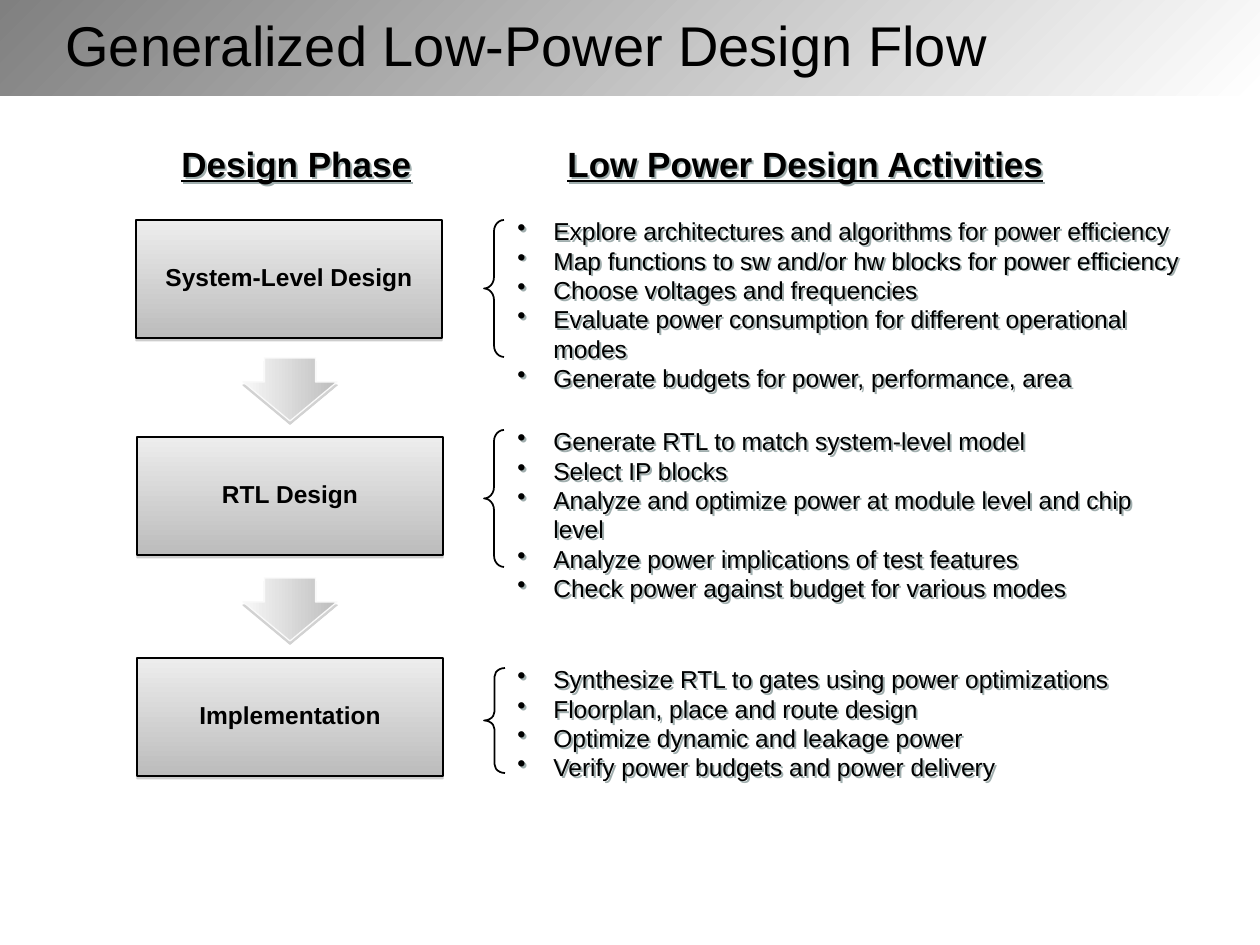
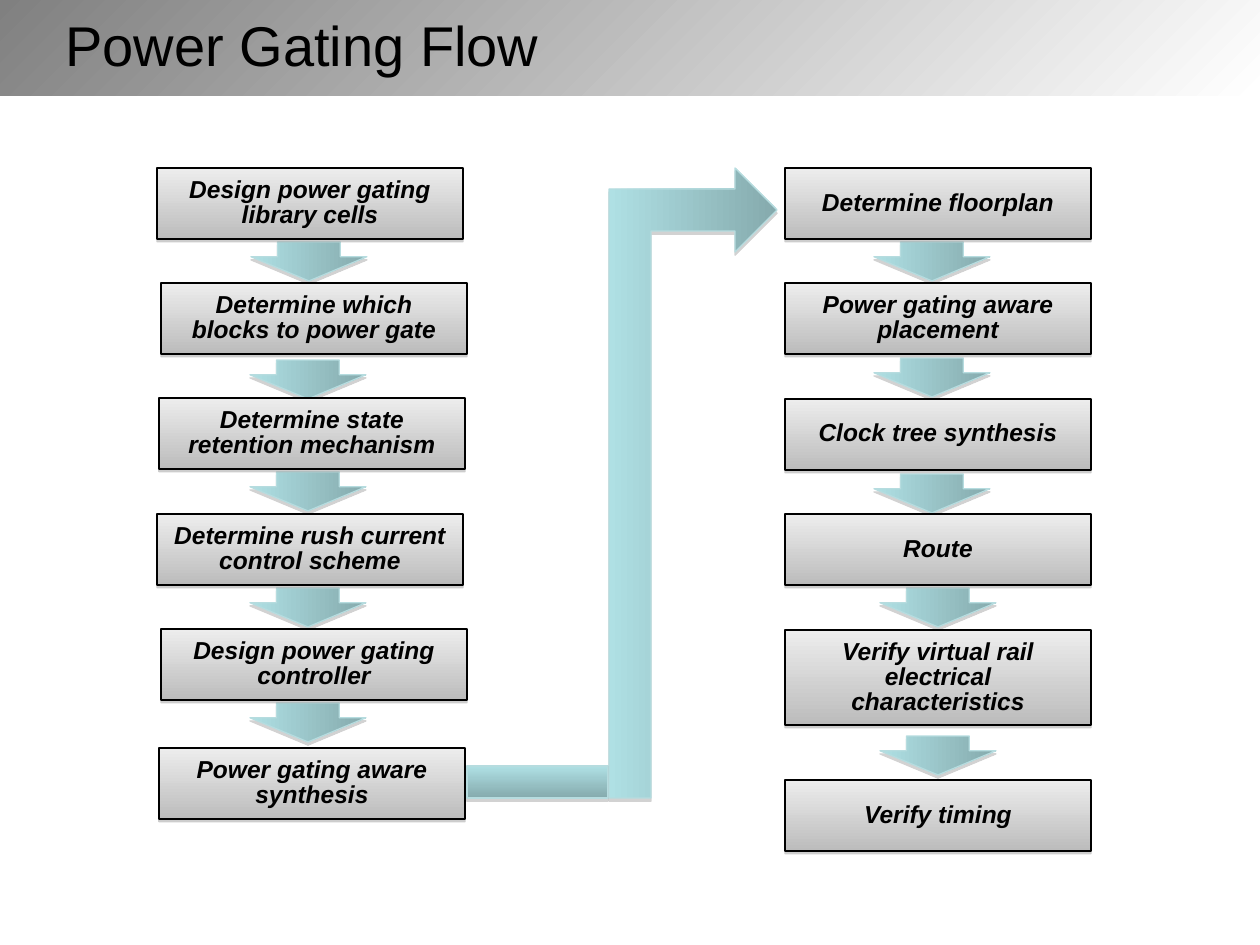
from dataclasses import dataclass

from lxml import etree
from pptx import Presentation
from pptx import util as u
from pptx.dml.color import RGBColor
from pptx.enum import shapes as sh, text as tx
from pptx.oxml import ns

SCALE = 914400 / 126


@dataclass(frozen=True)
class Theme:
    font: str = "Arial"
    ink: str = "000000"
    shade: str = "808080"
    glow: str = "A0AEAE"
    band: tuple[str, str] = ("808080", "FFFFFF")
    box: tuple[str, str] = ("EDEDED", "BCBCBC")
    gray: tuple[str, str] = ("F8F8F8", "BDBDBD")
    teal: tuple[str, str] = ("AFE0E4", "85AAAD")
    pale: str = "F9F9F9"
    mist: str = "B6DCDF"
    title: int = 32
    head: int = 20
    body: int = 14
    lead: float = 16.8


@dataclass(frozen=True)
class Rect:
    x: int
    y: int
    w: int
    h: int


@dataclass(frozen=True)
class Box:
    label: str
    rect: Rect


@dataclass(frozen=True)
class Phase:
    box: Box
    brace: Rect
    list: Rect
    tasks: tuple[str, ...]


T = Theme()

PHASES = (
    Phase(Box("System-Level Design", Rect(136, 220, 306, 118)),
          Rect(484, 220, 20, 137), Rect(505, 210, 693, 189),
          ("Explore architectures and algorithms for power efficiency",
           "Map functions to sw and/or hw blocks for power efficiency",
           "Choose voltages and frequencies",
           "Evaluate power consumption for different operational modes",
           "Generate budgets for power, performance, area")),
    Phase(Box("RTL Design", Rect(137, 437, 306, 118)),
          Rect(484, 430, 20, 137), Rect(505, 420, 693, 189),
          ("Generate RTL to match system-level model",
           "Select IP blocks",
           "Analyze and optimize power at module level and chip level",
           "Analyze power implications of test features",
           "Check power against budget for various modes")),
    Phase(Box("Implementation", Rect(137, 658, 306, 118)),
          Rect(484, 668, 21, 105), Rect(505, 658, 640, 131),
          ("Synthesize RTL to gates using power optimizations",
           "Floorplan, place and route design",
           "Optimize dynamic and leakage power",
           "Verify power budgets and power delivery")),
)

HEADS = (("Design Phase", Rect(169, 136, 300, 55)),
         ("Low Power Design Activities", Rect(555, 136, 560, 55)))

DROPS = ((290, 389), (290, 609))

STEPS = (
    Box("Design power gating library cells", Rect(157, 168, 306, 71)),
    Box("Determine which blocks to power gate", Rect(161, 283, 306, 71)),
    Box("Determine state retention mechanism", Rect(159, 398, 306, 71)),
    Box("Determine rush current control scheme", Rect(157, 514, 306, 71)),
    Box("Design power gating controller", Rect(161, 629, 306, 71)),
    Box("Power gating aware synthesis", Rect(159, 748, 306, 71)),
    Box("Determine floorplan", Rect(785, 168, 306, 71)),
    Box("Power gating aware placement", Rect(785, 283, 306, 71)),
    Box("Clock tree synthesis", Rect(785, 399, 306, 71)),
    Box("Route", Rect(785, 514, 306, 71)),
    Box("Verify virtual rail electrical characteristics",
        Rect(785, 630, 306, 95)),
    Box("Verify timing", Rect(785, 780, 306, 71)),
)

LINKS = ((309, 261), (308, 379), (308, 491), (308, 607), (308, 722),
         (932, 261), (932, 377), (932, 493), (938, 607), (938, 755))

STUB = Rect(467, 766, 141, 32)
ELBOW = ((609, 798), (651, 798), (651, 231), (735, 231), (735, 252),
         (777, 210), (735, 168), (735, 189), (609, 189))


def px(n: int) -> u.Emu:
    return u.Emu(round(n * SCALE))


def place(r: Rect) -> tuple:
    return px(r.x), px(r.y), px(r.w), px(r.h)


def rgb(code: str) -> RGBColor:
    return RGBColor.from_string(code)


def blend(shape, pair: tuple[str, str], angle: int) -> None:
    shape.fill.gradient()
    shape.fill.gradient_angle = angle
    for stop, code in zip(shape.fill.gradient_stops, pair):
        stop.color.rgb = rgb(code)


def edge(shape, code: str, width: float = 0.75) -> None:
    shape.line.color.rgb = rgb(code)
    shape.line.width = u.Pt(width)


def shadow(shape, code: str, dist: float, turn: int, alpha: int) -> None:
    shape.shadow.inherit = False
    effects = shape._element.spPr.find(ns.qn("a:effectLst"))
    cast = etree.SubElement(effects, ns.qn("a:outerShdw"), blurRad="0",
                            dist=str(u.Pt(dist)), dir=str(turn * 60000),
                            algn="ctr", rotWithShape="0")
    color = etree.SubElement(cast, ns.qn("a:srgbClr"), val=code)
    etree.SubElement(color, ns.qn("a:alpha"), val=str(alpha * 1000))


def style(para, size: int, bold: bool = False, slant: bool = False,
          under: bool = False) -> None:
    font = para.font
    font.name, font.size = T.font, u.Pt(size)
    font.bold, font.italic, font.underline = bold, slant, under
    font.color.rgb = rgb(T.ink)


def words(slide, r: Rect):
    shape = slide.shapes.add_textbox(*place(r))
    shape.text_frame.word_wrap = True
    return shape


def start(deck, title: str):
    slide = deck.slides.add_slide(deck.slide_layouts[6])
    band = slide.shapes.add_shape(sh.MSO_SHAPE.RECTANGLE,
                                  *place(Rect(0, -1, 1260, 97)))
    band.shadow.inherit = False
    band.line.fill.background()
    blend(band, T.band, 315)
    frame = words(slide, Rect(53, 11, 1207, 67)).text_frame
    frame.vertical_anchor = tx.MSO_ANCHOR.MIDDLE
    frame.text = title
    style(frame.paragraphs[0], T.title)
    return slide


def panel(slide, box: Box, slant: bool = False) -> None:
    shape = slide.shapes.add_shape(sh.MSO_SHAPE.RECTANGLE, *place(box.rect))
    blend(shape, T.box, 270)
    edge(shape, T.ink)
    shadow(shape, T.shade, 1.6, 90, 38)
    frame = shape.text_frame
    frame.word_wrap = True
    frame.vertical_anchor = tx.MSO_ANCHOR.MIDDLE
    frame.text = box.label
    para = frame.paragraphs[0]
    para.alignment = tx.PP_ALIGN.CENTER
    para.line_spacing = 0.85
    style(para, T.body, bold=True, slant=slant)


def paint(shape, pair: tuple[str, str], rim: str, angle: int = 0) -> None:
    blend(shape, pair, angle)
    edge(shape, rim)
    shadow(shape, T.shade, 1.8, 90, 35)


def arrow(slide, mid: tuple[int, int], w: int, h: int,
          pair: tuple[str, str], rim: str) -> None:
    r = Rect(mid[0] - w // 2, mid[1] - h // 2, w, h)
    shape = slide.shapes.add_shape(sh.MSO_SHAPE.DOWN_ARROW, *place(r))
    shape.adjustments[0] = 0.54
    shape.adjustments[1] = 0.62
    paint(shape, pair, rim)


def brace(slide, r: Rect) -> None:
    shape = slide.shapes.add_shape(sh.MSO_SHAPE.LEFT_BRACE, *place(r))
    shape.adjustments[0] = r.h / 12 / r.w
    shape.fill.background()
    shape.shadow.inherit = False
    edge(shape, T.ink, 1)


def tasks(slide, r: Rect, items: tuple[str, ...]) -> None:
    shape = words(slide, r)
    shadow(shape, T.glow, 1.6, 45, 100)
    frame = shape.text_frame
    frame.text = "\n".join(items)
    for para in frame.paragraphs:
        para.line_spacing = u.Pt(T.lead)
        props = para._p.get_or_add_pPr()
        props.set("marL", str(px(36)))
        props.set("indent", str(px(-36)))
        etree.SubElement(props, ns.qn("a:buChar"), char="•")
        style(para, T.body)


def phases(deck) -> None:
    slide = start(deck, "Generalized Low-Power Design Flow")
    for label, r in HEADS:
        shape = words(slide, r)
        shadow(shape, T.glow, 1.6, 45, 100)
        shape.text_frame.text = label
        style(shape.text_frame.paragraphs[0], T.head, bold=True, under=True)
    for phase in PHASES:
        panel(slide, phase.box)
        brace(slide, phase.brace)
        tasks(slide, phase.list, phase.tasks)
    for mid in DROPS:
        arrow(slide, mid, 94, 63, T.gray, T.pale)


def gating(deck) -> None:
    slide = start(deck, "Power Gating Flow")
    for mid in LINKS:
        arrow(slide, mid, 116, 39, T.teal, T.mist)
    for step in STEPS:
        panel(slide, step, slant=True)
    stub = slide.shapes.add_shape(sh.MSO_SHAPE.RECTANGLE, *place(STUB))
    paint(stub, T.teal, T.mist, 270)
    pen = slide.shapes.build_freeform(*ELBOW[0], scale=SCALE)
    pen.add_line_segments(ELBOW[1:], close=True)
    paint(pen.convert_to_shape(), T.teal, T.mist)


def main() -> None:
    deck = Presentation()
    deck.slide_width, deck.slide_height = px(1260), px(945)
    phases(deck)
    gating(deck)
    deck.save("out.pptx")


if __name__ == "__main__":
    main()
